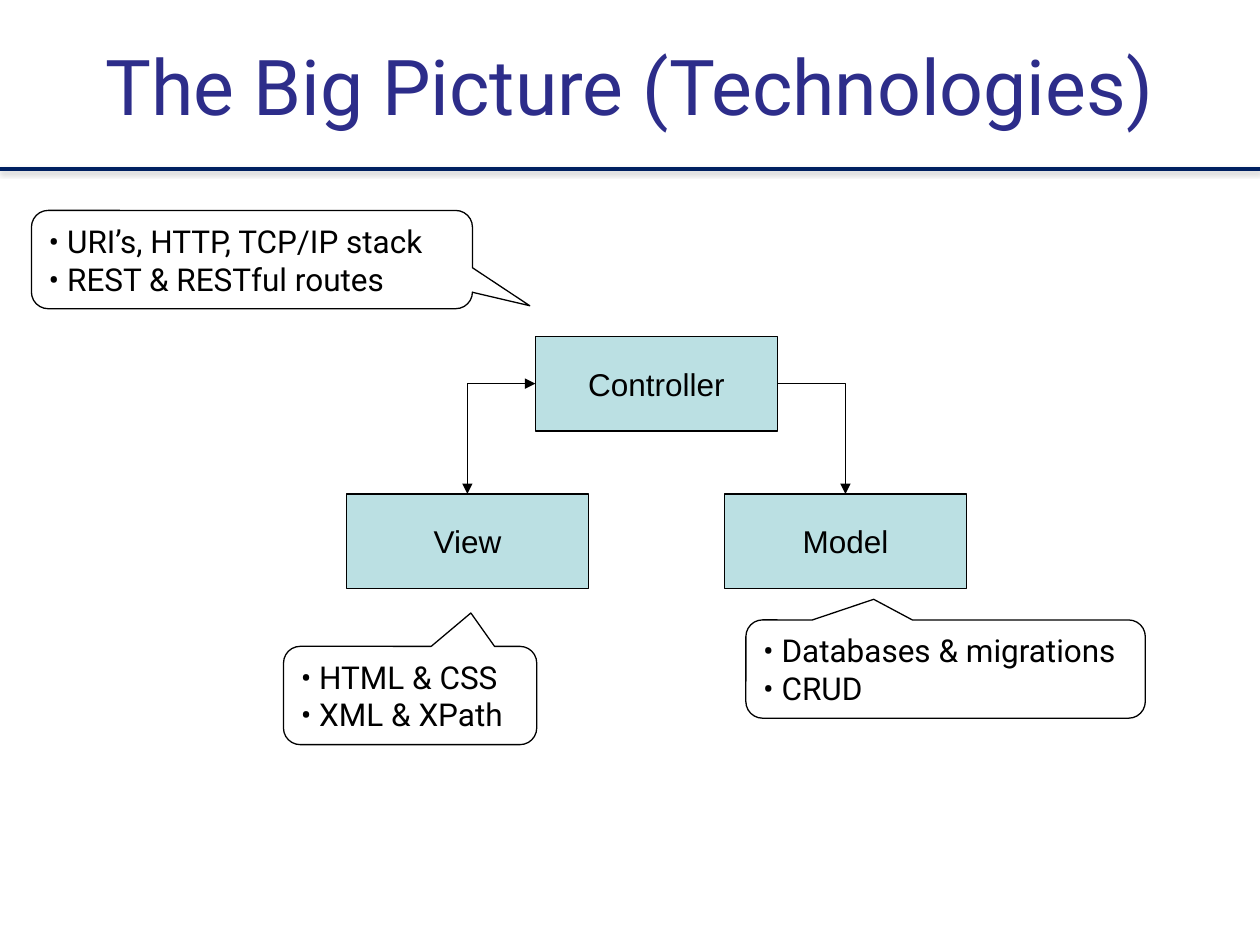
"""Build a slide of the technologies behind model, view and controller."""
from lxml import etree
from pptx import Presentation
from pptx.dml.color import RGBColor
from pptx.enum.shapes import MSO_CONNECTOR, MSO_SHAPE
from pptx.enum.text import MSO_ANCHOR, PP_ALIGN
from pptx.oxml.ns import qn
from pptx.util import Inches, Pt

RECT = MSO_SHAPE.RECTANGLE
BUBBLE = MSO_SHAPE.ROUNDED_RECTANGULAR_CALLOUT
STRAIGHT, ELBOW = MSO_CONNECTOR.STRAIGHT, MSO_CONNECTOR.ELBOW
LEFT, CENTER = PP_ALIGN.LEFT, PP_ALIGN.CENTER
MIDDLE = MSO_ANCHOR.MIDDLE
WIDE, BOX_W, BOX_H, NOTE_H, HEAD_H = 10, 1.92, 0.75, 0.78, 1.34


def color(code):
    return RGBColor.from_string(code)


class Board:
    """Hold the style and the current slide."""

    sans, soft = "Arial", "Roboto"
    ink, paper, teal = "000000", "FFFFFF", "BBE0E3"
    navy, blue, gray = "002061", "2D2D8A", "808080"

    def __init__(self, slide):
        self.slide = slide
        self.shapes = slide.shapes

    def label(self, shape, text, font, size, code, align):
        frame = shape.text_frame
        frame.text = text
        frame.vertical_anchor = MIDDLE
        for line in frame.paragraphs:
            line.alignment = align
            for run in line.runs:
                run.font.name = font
                run.font.size = Pt(size)
                run.font.color.rgb = color(code)

    def title(self, text):
        shape = self.shapes.add_textbox(0, 0, Inches(WIDE), Inches(HEAD_H))
        shape.text_frame.word_wrap = True
        self.label(shape, text, self.soft, 44, self.blue, CENTER)

    def panel(self, kind, x, y, w, h, fill):
        shape = self.shapes.add_shape(kind, Inches(x), Inches(y), Inches(w), Inches(h))
        shape.shadow.inherit = False
        shape.fill.solid()
        shape.fill.fore_color.rgb = color(fill)
        shape.line.color.rgb = color(self.ink)
        shape.line.width = Pt(0.75)
        return shape

    def box(self, text, x, y):
        shape = self.panel(RECT, x, y, BOX_W, BOX_H, self.teal)
        shape.text_frame.word_wrap = False
        self.label(shape, text, self.sans, 18, self.ink, CENTER)
        return shape

    def note(self, lines, x, y, w, tip):
        shape = self.panel(BUBBLE, x, y, w, NOTE_H, self.paper)
        for i, value in enumerate((*tip, 0.17)):
            shape.adjustments[i] = value
        shape.text_frame.word_wrap = True
        self.label(shape, "\n".join(lines), self.soft, 18, self.ink, LEFT)

    def wire(self, kind, start, end, code, width):
        ends = [Inches(n) for n in (*start, *end)]
        line = self.shapes.add_connector(kind, *ends)
        line.line.color.rgb = color(code)
        line.line.width = Pt(width)
        return line, etree.SubElement(line._element.spPr, qn("a:effectLst"))

    def rule(self, y):
        effects = self.wire(STRAIGHT, (0, y), (WIDE, y), self.navy, 2)[1]
        shade = etree.SubElement(effects, qn("a:outerShdw"), blurRad=str(Pt(3.1)),
                                 dist=str(Pt(1.6)), dir="5400000", rotWithShape="0")
        tint = etree.SubElement(shade, qn("a:srgbClr"), val=self.gray)
        etree.SubElement(tint, qn("a:alpha"), val="38000")

    def arrow(self, source, side, target, tips):
        line = self.wire(ELBOW, (0, 0), (1, 1), self.ink, 0.75)[0]
        line.begin_connect(source, side)
        line.end_connect(target, 0)
        line._element.spPr.find(qn("a:prstGeom")).set("prst", "bentConnector2")
        stroke = line._element.spPr.find(qn("a:ln"))
        for tip in tips:
            etree.SubElement(stroke, qn(tip), type="triangle")


def main():
    deck = Presentation()
    deck.slide_width, deck.slide_height = Inches(WIDE), Inches(7.5)
    board = Board(deck.slides.add_slide(deck.slide_layouts[6]))

    board.rule(HEAD_H)
    board.title("The Big Picture (Technologies)")

    control = board.box("Controller", 4.25, 2.67)
    view = board.box("View", 2.75, 3.92)
    model = board.box("Model", 5.75, 3.92)
    board.arrow(control, 1, view, ("a:headEnd", "a:tailEnd"))
    board.arrow(control, 3, model, ("a:tailEnd",))

    board.note(("• URI’s, HTTP, TCP/IP stack", "• REST & RESTful routes"),
               0.25, 1.67, 3.5, (0.63, 0.47))
    board.note(("• Databases & migrations", "• CRUD"),
               5.92, 4.92, 3.17, (-0.18, -0.71))
    board.note(("• HTML & CSS", "• XML & XPath"),
               2.25, 5.13, 2.01, (0.24, -0.84))
    deck.save("out.pptx")


if __name__ == "__main__":
    main()
